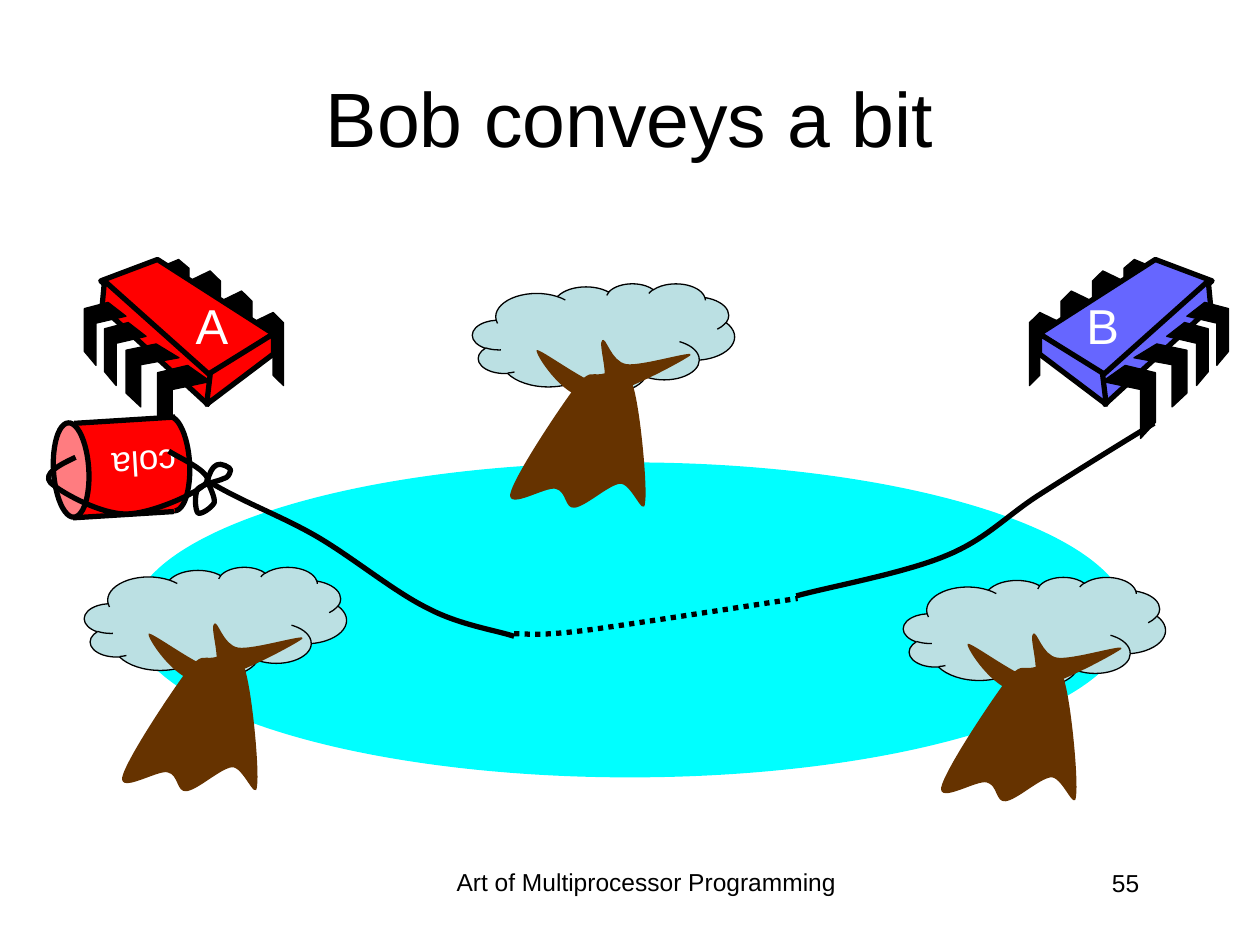
from lxml.etree import SubElement
from pptx import Presentation
from pptx.dml.color import RGBColor
from pptx.enum.dml import MSO_LINE
from pptx.enum.shapes import MSO_CONNECTOR, MSO_SHAPE
from pptx.enum.text import MSO_ANCHOR, PP_ALIGN
from pptx.oxml import parse_xml
from pptx.oxml.ns import nsdecls, qn
from pptx.util import Cm, Pt

BLACK, WHITE, RED, BLUE = "000000", "FFFFFF", "FF0000", "6666FF"
LAKE, LEAVES, BARK, CAN_END = "00FFFF", "BBE0E3", "663300", "FF7C80"
CHIP_AXIS = 5.21
CAN_ANGLE = 266.5

BACK_LEG = [(0, 0.14), (0.67, 0), (1, 0.14), (1, 1), (0.67, 0.86), (0.67, 0.29), (0, 0.43), (0, 0.14)]
FRONT_LEG = [(0.57, 0), (1, 0.22), (0.28, 0.33), (0.28, 1), (0, 0.78), (0, 0.1), (0.57, 0)]
BACK_LEG_BOXES = [(2, 2.48, 0.25, 0.58), (1.75, 2.31, 0.25, 0.58), (1.5, 2.15, 0.25, 0.58), (1.25, 2.06, 0.25, 0.5)]
FRONT_LEG_BOXES = [(1.25, 2.9, 0.42, 0.58), (1, 2.73, 0.42, 0.5), (0.83, 2.56, 0.33, 0.5), (0.67, 2.4, 0.33, 0.5)]
CHIP_FACES = [
    [(1.25, 2.06), (2.17, 2.65), (1.65, 2.99), (0.8, 2.23), (1.25, 2.06)],
    [(0.83, 2.23), (1.67, 2.98), (1.65, 3.21), (0.81, 2.44), (0.83, 2.23)],
    [(2.17, 2.65), (2.17, 2.81), (1.64, 3.21), (1.67, 2.96), (2.17, 2.65)],
]
TRUNK = [
    (0.81, 0.83), (0.93, 0.68), (0.94, 0.73), (1.02, 0.72), (1.09, 0.71), (1.21, 0.63), (1.27, 0.8),
    (1.33, 0.97), (1.39, 1.61), (1.37, 1.74), (1.36, 1.87), (1.26, 1.58), (1.17, 1.59),
    (1.08, 1.6), (0.9, 1.77), (0.81, 1.78), (0.73, 1.79), (0.75, 1.65), (0.66, 1.63),
    (0.58, 1.61), (0.28, 1.8), (0.3, 1.67), (0.33, 1.53), (0.69, 0.99), (0.81, 0.83),
]
BRANCHES = [
    (0.51, 0.53), (0.49, 0.55), (0.71, 0.9), (0.91, 0.91), (1.12, 0.92), (1.68, 0.61), (1.73, 0.57),
    (1.78, 0.52), (1.34, 0.66), (1.22, 0.64), (1.1, 0.62), (1.06, 0.42), (1.03, 0.45),
    (0.99, 0.47), (1.1, 0.78), (1.02, 0.8), (0.93, 0.81), (0.53, 0.51), (0.51, 0.53),
]
BOW = [
    (1.65, 3.82), (1.65, 3.77), (1.69, 3.7), (1.72, 3.69), (1.75, 3.67), (1.83, 3.71), (1.83, 3.73),
    (1.82, 3.77), (1.81, 3.79), (1.77, 3.8), (1.73, 3.82), (1.61, 3.84), (1.57, 3.88),
    (1.54, 3.93), (1.55, 4.05), (1.57, 4.07), (1.59, 4.09), (1.68, 4.03), (1.7, 3.99),
    (1.71, 3.95), (1.66, 3.86), (1.65, 3.82),
]
LOOP = [
    (0.6, 3.63), (0.47, 3.69), (0.34, 3.76), (0.4, 3.83), (0.47, 3.9), (0.79, 4.08), (1, 4.08),
    (1.2, 4.08), (1.58, 3.91), (1.64, 3.83), (1.7, 3.75), (1.39, 3.62), (1.34, 3.58),
]
LEFT_STRING = [
    (1.67, 3.83), (1.94, 3.99), (2.22, 4.09), (2.5, 4.25), (2.78, 4.41), (3.12, 4.69), (3.38, 4.82),
    (3.64, 4.96), (3.93, 5), (4.08, 5.05),
]
RIGHT_STRING = [
    (9.16, 3.36), (9.01, 3.45), (8.54, 3.74), (8.26, 3.92), (7.99, 4.09), (7.83, 4.28), (7.51, 4.41),
    (7.18, 4.55), (6.57, 4.66), (6.32, 4.73),
]
SUNKEN_STRING = [(4.08, 5.03), (4.18, 5.03), (4.29, 5.05), (4.67, 5), (5.04, 4.95), (6.06, 4.79), (6.33, 4.75)]


def length(inches):
    return Cm(inches * 2.54)


def lengths(values):
    return [length(value) for value in values]


def color(value):
    return RGBColor.from_string(value)


def paint(shape, fill=None, line=None, width=0.75):
    shape.shadow.inherit = False
    if fill:
        shape.fill.solid()
        shape.fill.fore_color.rgb = color(fill)
    else:
        shape.fill.background()
    if line:
        shape.line.color.rgb = color(line)
        shape.line.width = Pt(width)
    else:
        shape.line.fill.background()


def write(shape, text, size=14, ink=BLACK, align=PP_ALIGN.CENTER, anchor=MSO_ANCHOR.TOP, wrap=True):
    frame = shape.text_frame
    frame.word_wrap = wrap
    frame.vertical_anchor = anchor
    paragraph = frame.paragraphs[0]
    paragraph.alignment = align
    run = paragraph.add_run()
    run.text = text
    run.font.name = "Arial"
    run.font.size = Pt(size)
    run.font.color.rgb = color(ink)


def add_text(shapes, box, text, rotation=0, **text_format):
    shape = shapes.add_textbox(*lengths(box))
    shape.rotation = rotation
    write(shape, text, **text_format)


def add_preset(shapes, kind, box, rotation=0, **look):
    shape = shapes.add_shape(kind, *lengths(box))
    shape.rotation = rotation
    paint(shape, **look)
    return shape


def add_outline(shapes, points, **look):
    corners = [tuple(lengths(point)) for point in points]
    builder = shapes.build_freeform(*corners[0])
    builder.add_line_segments(corners[1:], close=points[0] == points[-1])
    shape = builder.convert_to_shape()
    paint(shape, **look)
    return shape


def add_curve(shapes, points, **look):
    shape = add_outline(shapes, points, **look)
    outline = shape._element.find(".//" + qn("a:path"))
    segments = outline.findall(qn("a:lnTo"))
    for start in range(0, len(segments), 3):
        curve = parse_xml(f"<a:cubicBezTo {nsdecls('a')}/>")
        segments[start].addprevious(curve)
        for segment in segments[start:start + 3]:
            curve.append(segment[0])
            outline.remove(segment)
    return shape


def add_line(shapes, start, end):
    connector = shapes.add_connector(MSO_CONNECTOR.STRAIGHT, *lengths(start + end))
    connector.line.color.rgb = color(BLACK)
    connector.line.width = Pt(3)
    SubElement(connector._element.spPr, qn("a:effectLst"))


def fit(points, box):
    left, top, width, height = box
    return [(left + x * width, top + y * height) for x, y in points]


def add_chip(slide, fill, mirrored=False):
    shapes = slide.shapes.add_group_shape().shapes
    back = [(fit(BACK_LEG, box), BLACK, 0.75) for box in BACK_LEG_BOXES]
    faces = [(face, fill, 3) for face in CHIP_FACES]
    front = [(fit(FRONT_LEG, box), BLACK, 0.75) for box in FRONT_LEG_BOXES]
    for points, part_fill, width in back + faces + front:
        if mirrored:
            points = [(2 * CHIP_AXIS - x, y) for x, y in points]
        add_outline(shapes, points, fill=part_fill, line=BLACK, width=width)


def add_tree(slide, left, top):
    shapes = slide.shapes.add_group_shape().shapes
    crown = add_preset(shapes, MSO_SHAPE.CLOUD_CALLOUT, (left, top, 2.08, 0.87), fill=LEAVES, line=BLACK)
    crown.adjustments[0] = 0.018
    crown.adjustments[1] = 0.493
    for part in (TRUNK, BRANCHES):
        add_curve(shapes, fit(part, (left, top, 1, 1)), fill=BARK)


def add_can(slide):
    shapes = slide.shapes.add_group_shape().shapes
    add_preset(shapes, MSO_SHAPE.OVAL, (0.99, 3.54, 0.75, 0.28), CAN_ANGLE, fill=RED, line=BLACK, width=3)
    add_preset(shapes, MSO_SHAPE.RECTANGLE, (0.59, 3.31, 0.75, 0.8), CAN_ANGLE, fill=RED)
    add_preset(shapes, MSO_SHAPE.OVAL, (0.19, 3.59, 0.75, 0.28), CAN_ANGLE, fill=CAN_END, line=BLACK, width=3)
    add_line(shapes, (0.58, 4.11), (1.38, 4.06))
    add_line(shapes, (0.59, 3.36), (1.39, 3.31))
    add_text(shapes, (0.79, 3.47, 0.72, 0.44), "cola", CAN_ANGLE - 90,
             size=20, ink=WHITE, align=PP_ALIGN.RIGHT, wrap=False)


def add_string(slide):
    knot = slide.shapes.add_group_shape().shapes
    for points in (BOW, LOOP):
        add_curve(knot, points, line=BLACK, width=3)
    for points in (LEFT_STRING, RIGHT_STRING):
        add_curve(slide.shapes, points, line=BLACK, width=3)
    sunken = add_curve(slide.shapes, SUNKEN_STRING, line=BLACK, width=3)
    sunken.line.dash_style = MSO_LINE.ROUND_DOT


def main():
    presentation = Presentation()
    presentation.slide_width, presentation.slide_height = lengths((10, 7.5))
    slide = presentation.slides.add_slide(presentation.slide_layouts[5])
    title = slide.shapes.title
    title.left, title.top, title.width, title.height = lengths((0.5, 0.3, 9, 1.25))
    write(title, "Bob conveys a bit", size=44, anchor=MSO_ANCHOR.MIDDLE)
    add_chip(slide, RED)
    add_chip(slide, BLUE, mirrored=True)
    add_preset(slide.shapes, MSO_SHAPE.OVAL, (1.04, 3.67, 7.92, 2.5), fill=LAKE)
    for letter, left in (("A", 1.45), ("B", 8.52)):
        add_text(slide.shapes, (left, 2.3, 0.46, 0.57), letter,
                 size=28, ink=WHITE, align=PP_ALIGN.RIGHT, wrap=False)
    for left, top in ((3.75, 2.25), (7.17, 4.58), (0.67, 4.5)):
        add_tree(slide, left, top)
    add_can(slide)
    add_string(slide)
    add_text(slide.shapes, (3.42, 6.83, 3.42, 0.52), "Art of Multiprocessor Programming")
    add_text(slide.shapes, (7.06, 6.84, 2.08, 0.5), "55", align=PP_ALIGN.RIGHT)
    presentation.save("out.pptx")


if __name__ == "__main__":
    main()
